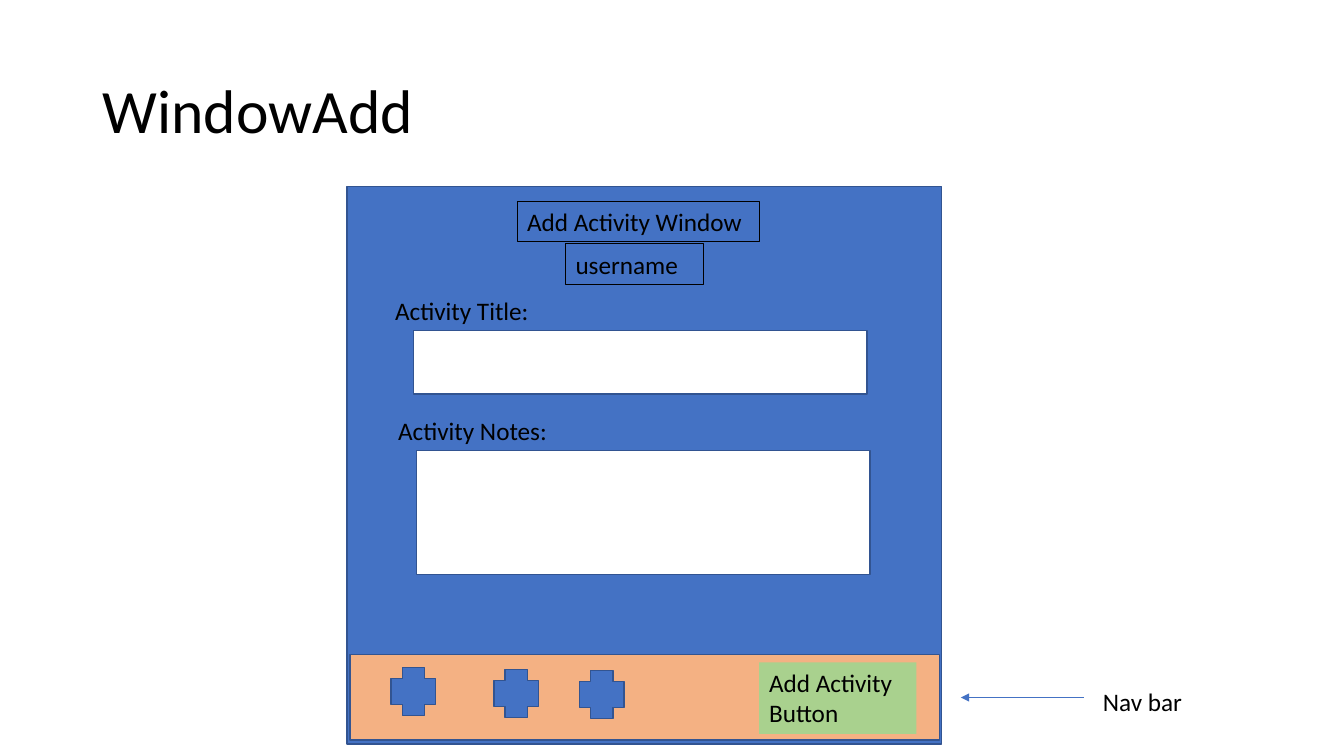
import pptx
import pptx.util
import pptx.dml.color
import pptx.enum.shapes
import pptx.enum.text
import pptx.oxml
import pptx.oxml.ns

Inches = pptx.util.Inches
Pt = pptx.util.Pt
Shapes = pptx.enum.shapes.MSO_SHAPE
BLUE, OUTLINE, WHITE, BLACK = "4472C4", "325491", "FFFFFF", "000000"
ORANGE, GREEN = "F4B183", "A9D18E"


def color(code):
    return pptx.dml.color.RGBColor.from_string(code)


def add_block(page, box, fill, kind=Shapes.RECTANGLE):
    block = page.shapes.add_shape(kind, *map(Inches, box))
    block.shadow.inherit = False
    block.fill.solid()
    block.fill.fore_color.rgb = color(fill)
    block.line.color.rgb = color(OUTLINE)
    block.line.width = Pt(1)
    return block


def add_label(page, box, lines, size=18, fill=None, border=None):
    label = page.shapes.add_textbox(*map(Inches, box))
    frame = label.text_frame
    frame.word_wrap = True
    for index, line in enumerate(lines):
        para = frame.paragraphs[0] if index == 0 else frame.add_paragraph()
        span = para.add_run()
        span.text = line
        span.font.name = "Calibri"
        span.font.size = Pt(size)
        span.font.color.rgb = color(BLACK)
    if fill:
        label.fill.solid()
        label.fill.fore_color.rgb = color(fill)
    if border:
        label.line.color.rgb = color(border)
        label.line.width = Pt(0.75)
    return label


def add_title(page, box):
    title = add_label(page, box, ["WindowAdd"], size=44)
    title.text_frame.vertical_anchor = pptx.enum.text.MSO_ANCHOR.MIDDLE
    title.text_frame.paragraphs[0].line_spacing = 0.9


def add_field(page, left, top, caption, height):
    add_label(page, (left, top, 1.98, 0.4), [caption])
    add_block(page, (left + 0.28, top + 0.4, 4.5, height), WHITE)


def add_nav_bar(page, box):
    left, top, width, height = box
    add_block(page, box, ORANGE)
    for across, down in ((0.41, 0.13), (1.43, 0.15), (2.28, 0.16)):
        add_block(page, (left + across, top + down, 0.44, 0.48), BLUE, Shapes.CROSS)
    add_label(page, (left + 4.06, top + 0.08, 1.56, 0.71),
              ["Add Activity", "Button"], fill=GREEN)


def add_window(page, box):
    left, top, width, height = box
    add_block(page, box, BLUE)
    add_label(page, (left + 1.69, top + 0.15, 2.4, 0.4),
              ["Add Activity Window"], border=BLACK)
    add_label(page, (left + 2.17, top + 0.57, 1.37, 0.4), ["username"], border=BLACK)
    add_field(page, left + 0.38, top + 1.03, "Activity Title:", 0.63)
    add_field(page, left + 0.41, top + 2.22, "Activity Notes:", 1.23)
    add_nav_bar(page, (left + 0.03, top + 4.64, 5.85, 0.85))


def add_callout(page, box):
    left, top, width, height = box
    middle = Inches(top + 0.16)
    arrow = page.shapes.add_connector(
        pptx.enum.shapes.MSO_CONNECTOR.STRAIGHT,
        Inches(left + 1.22), middle, Inches(left), middle)
    arrow.line.color.rgb = color(BLUE)
    arrow.line.width = Pt(0.5)
    tail = pptx.oxml.parse_xml(
        f'<a:tailEnd {pptx.oxml.ns.nsdecls("a")} type="triangle"/>')
    arrow.line._get_or_add_ln().append(tail)
    effects = pptx.oxml.parse_xml(f'<a:effectLst {pptx.oxml.ns.nsdecls("a")}/>')
    arrow._element.spPr.append(effects)
    add_label(page, (left + 1.31, top, width - 1.31, height), ["Nav bar"])


def main():
    deck = pptx.Presentation()
    deck.slide_width = Inches(13.33)
    deck.slide_height = Inches(7.5)
    page = deck.slides.add_slide(deck.slide_layouts[6])
    add_title(page, (0.92, 0.4, 11.5, 1.45))
    add_window(page, (3.44, 1.85, 5.9, 5.53))
    add_callout(page, (9.53, 6.76, 3.38, 0.4))
    deck.save("out.pptx")


if __name__ == "__main__":
    main()
